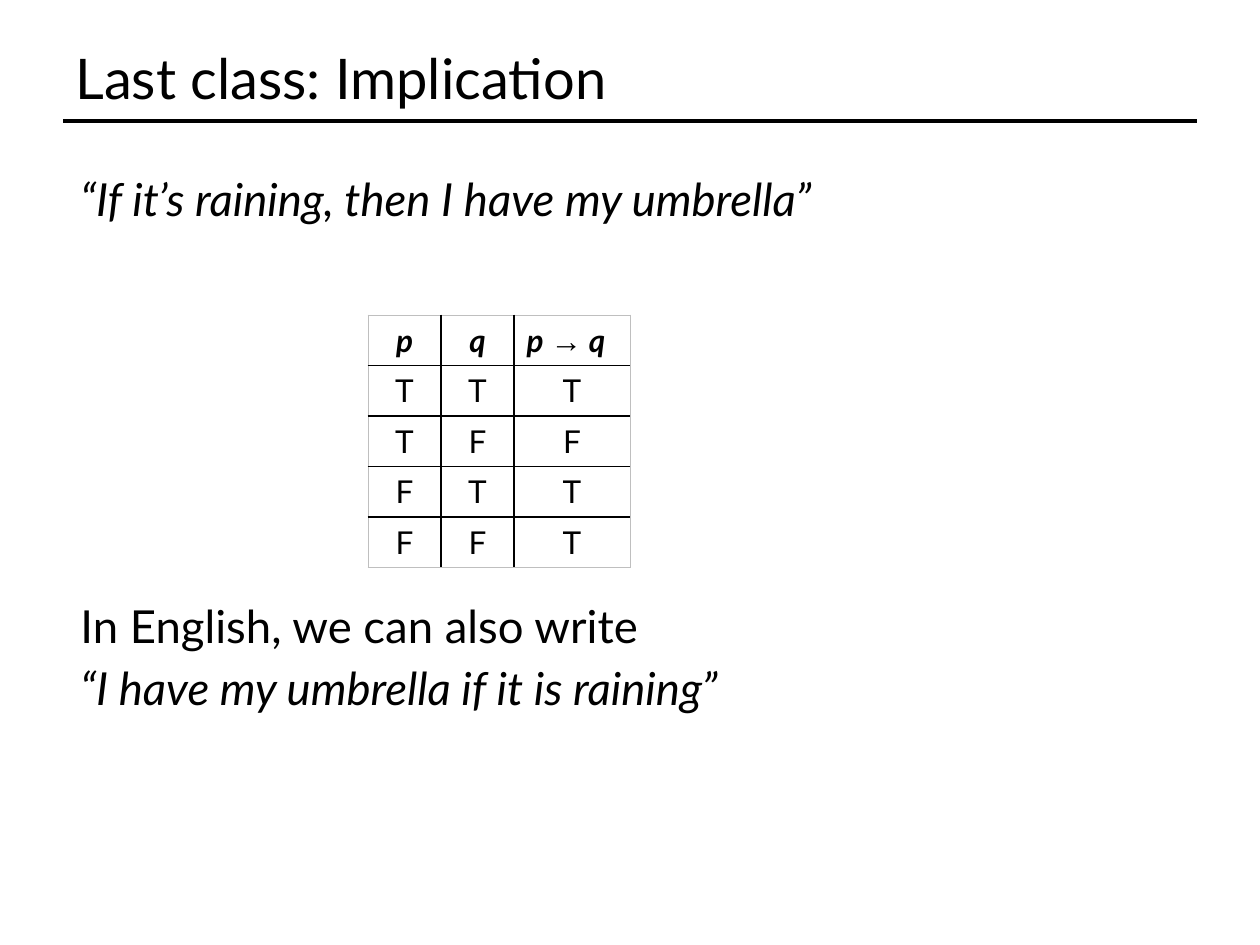
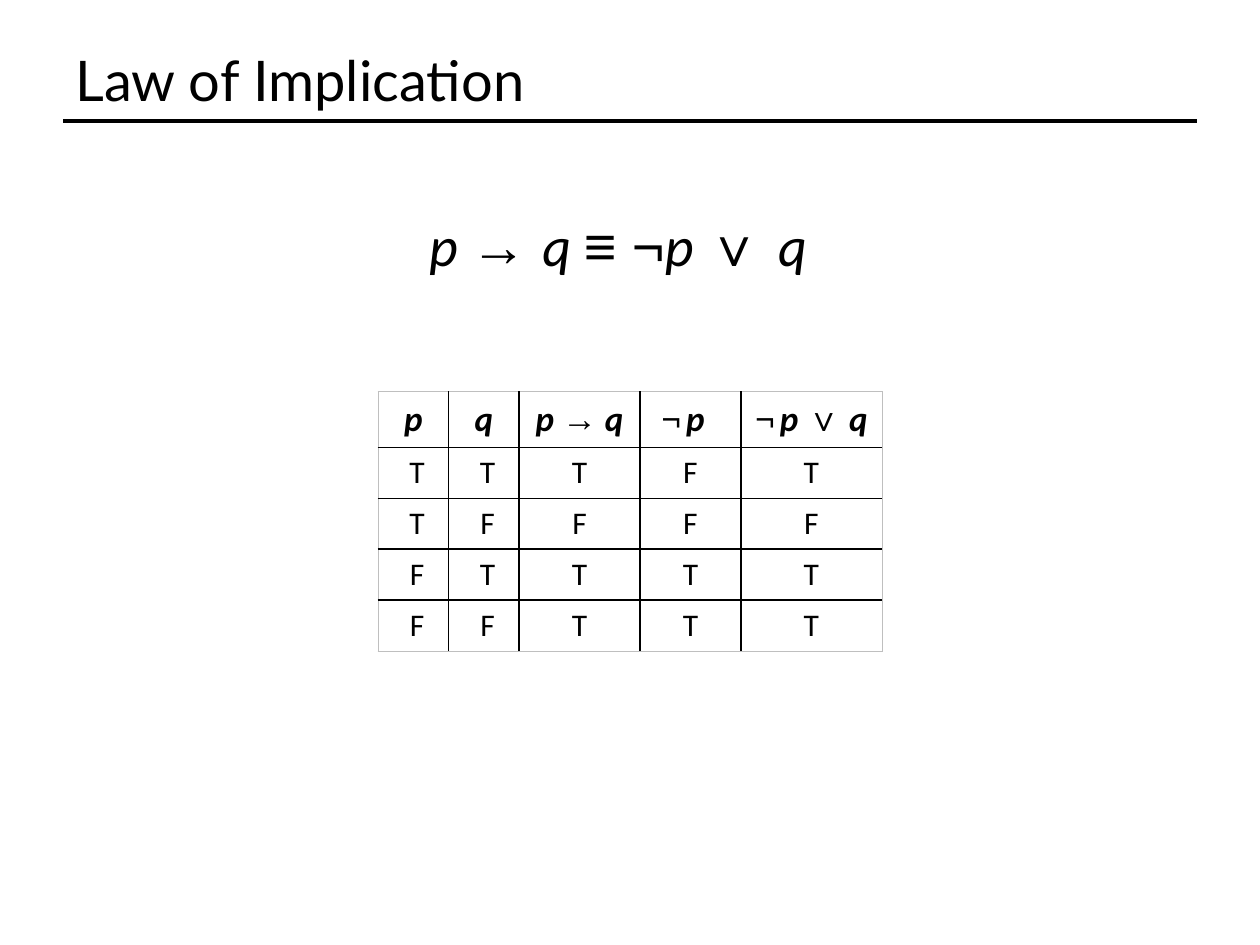
import dataclasses

import lxml.etree
import pptx
import pptx.dml.color
import pptx.enum.shapes
import pptx.enum.text
import pptx.oxml.ns
import pptx.util

Inches = pptx.util.Inches
Pt = pptx.util.Pt
ALIGN = pptx.enum.text.PP_ALIGN
MIDDLE = pptx.enum.text.MSO_ANCHOR.MIDDLE


@dataclasses.dataclass(frozen=True)
class Theme:
    """Colours, fonts and type sizes shared by both slides."""
    ink: str = "000000"
    frame: str = "BFBFBF"
    main_font: str = "Lato"
    formula_font: str = "Calibri"
    symbol_font: str = "Arial"
    negation_font: str = "Times New Roman"
    title_size: float = 32
    body_size: float = 26
    header_size: float = 20
    cell_size: float = 18
    gap_size: float = 11


THEME = Theme()


@dataclasses.dataclass(frozen=True)
class Span:
    """A piece of text with its own font, slant and size."""
    text: str
    font: str = THEME.main_font
    italic: bool = False
    size: float = THEME.cell_size
    bold: bool = False


def variable(text, size=THEME.header_size, bold=True, font=THEME.formula_font):
    """Return an italic span for propositional variables."""
    return Span(text, font, True, size, bold)


def symbol(text, size=THEME.header_size, bold=True, font=THEME.symbol_font):
    """Return an upright span for a logical operator."""
    return Span(text, font, False, size, bold)


def negation():
    """Return the negation sign of a table header and its narrow gap."""
    return [symbol("¬", font=THEME.negation_font),
            symbol(" ", THEME.gap_size, font=THEME.negation_font)]


def write_spans(para, spans, align=ALIGN.LEFT):
    """Fill a paragraph with formatted spans."""
    para.alignment = align
    for span in spans:
        run = para.add_run()
        run.text = span.text
        run.font.name = span.font
        run.font.size = Pt(span.size)
        run.font.bold = span.bold
        run.font.italic = span.italic
        run.font.color.rgb = pptx.dml.color.RGBColor.from_string(THEME.ink)


def add_text(page, left, top, width, height, lines, align=ALIGN.LEFT, anchor=None):
    """Add a wrapped text box with one paragraph per list of spans."""
    box = page.shapes.add_textbox(Inches(left), Inches(top), Inches(width), Inches(height))
    frame = box.text_frame
    frame.word_wrap = True
    frame.vertical_anchor = anchor
    for index, spans in enumerate(lines):
        para = frame.add_paragraph() if index else frame.paragraphs[0]
        if index:
            para.space_before = Pt(4)
        write_spans(para, spans, align)


def add_page(deck, title, title_top):
    """Add a blank slide with the ruled title."""
    page = deck.slides.add_slide(deck.slide_layouts[6])
    rule = page.shapes.add_connector(
        pptx.enum.shapes.MSO_CONNECTOR.STRAIGHT,
        Inches(0.5), Inches(0.96), Inches(9.5), Inches(0.96))
    rule.line.width = Pt(2)
    rule.line.color.rgb = pptx.dml.color.RGBColor.from_string(THEME.ink)
    lxml.etree.SubElement(rule._element.spPr, pptx.oxml.ns.qn("a:effectLst"))
    add_text(page, 0.5, title_top, 9, 0.66,
             [[Span(title, size=THEME.title_size)]], anchor=MIDDLE)
    return page


def set_borders(cell, outer_sides):
    """Draw black inner cell borders and pale outer ones."""
    qn = pptx.oxml.ns.qn
    properties = cell._tc.get_or_add_tcPr()
    for index, side in enumerate("LRTB"):
        outer = side in outer_sides
        line = lxml.etree.Element(qn(f"a:ln{side}"), w=str(Pt(0.5 if outer else 1)))
        fill = lxml.etree.SubElement(line, qn("a:solidFill"))
        lxml.etree.SubElement(fill, qn("a:srgbClr"), val=THEME.frame if outer else THEME.ink)
        properties.insert(index, line)


def add_truth_table(page, left, top, widths, heights, headers, rows, font):
    """Add a truth table and return it for alignment tweaks."""
    row_count, column_count = len(heights), len(widths)
    table = page.shapes.add_table(
        row_count, column_count, Inches(left), Inches(top),
        Inches(sum(widths)), Inches(sum(heights))).table
    table.first_row = table.horz_banding = False
    for column, width in zip(table.columns, widths):
        column.width = Inches(width)
    for row, height in zip(table.rows, heights):
        row.height = Inches(height)
    contents = [headers] + [[[Span(value, font)] for value in row] for row in rows]
    for r, row in enumerate(contents):
        for c, spans in enumerate(row):
            cell = table.cell(r, c)
            cell.fill.background()
            write_spans(cell.text_frame.paragraphs[0], spans, ALIGN.CENTER)
            edges = {"L": c == 0, "R": c == column_count - 1,
                     "T": r == 0, "B": r == row_count - 1}
            set_borders(cell, [side for side, outer in edges.items() if outer])
    return table


def build_last_class(deck):
    """Build the slide that recalls implication."""
    page = add_page(deck, "Last class: Implication", 0.28)
    size = THEME.body_size
    add_text(page, 0.54, 1.31, 7.22, 0.55,
             [[Span("“If it’s raining, then I have my umbrella”", italic=True, size=size)]])
    add_text(page, 0.54, 4.7, 7.22, 1.05, [
        [Span("In English, we can also write", size=size)],
        [Span("“I have my umbrella if it is raining”", italic=True, size=size)]])
    style = {"size": THEME.cell_size, "font": THEME.main_font}
    headers = [
        [variable("p", **style)],
        [variable("q", **style)],
        [variable("p ", **style), Span("→", THEME.symbol_font, True, bold=True),
         variable(" q", **style)]]
    table = add_truth_table(page, 2.92, 2.5, [0.58, 0.58, 0.92], [0.4] * 5, headers,
                            ["TTT", "TFF", "FTT", "FFT"], THEME.main_font)
    table.cell(0, 2).text_frame.paragraphs[0].alignment = ALIGN.LEFT


def build_law(deck):
    """Build the slide that states the law of implication."""
    page = add_page(deck, "Law of Implication", 0.3)
    headers = [
        [variable("p")],
        [variable("q")],
        [variable("p "), symbol("→"), variable(" q")],
        negation() + [variable("p")],
        negation() + [variable("p "), symbol("∨"), variable(" q")]]
    table = add_truth_table(page, 3, 3.11, [0.56, 0.56, 0.96, 0.8, 1.12],
                            [0.44] + [0.405] * 4, headers,
                            ["TTTFT", "TFFFF", "FTTTT", "FFTTT"], THEME.formula_font)
    table.cell(0, 3).margin_right = Inches(0.22)
    for row in range(1, 5):
        for column in range(2):
            table.cell(row, column).margin_left = Inches(0.16)
    style = {"size": THEME.title_size, "bold": False}
    law = [variable("p ", **style), symbol("→ ", **style), variable("q ", **style),
           symbol("≡ ¬", **style), variable("p ", **style), symbol("∨ ", **style),
           variable("q", **style)]
    add_text(page, 1.82, 1.62, 6.17, 0.64, [law], ALIGN.CENTER)


def main():
    """Build and save the deck."""
    deck = pptx.Presentation()
    deck.slide_width, deck.slide_height = Inches(10), Inches(7.5)
    build_last_class(deck)
    build_law(deck)
    deck.save("out.pptx")


if __name__ == "__main__":
    main()
